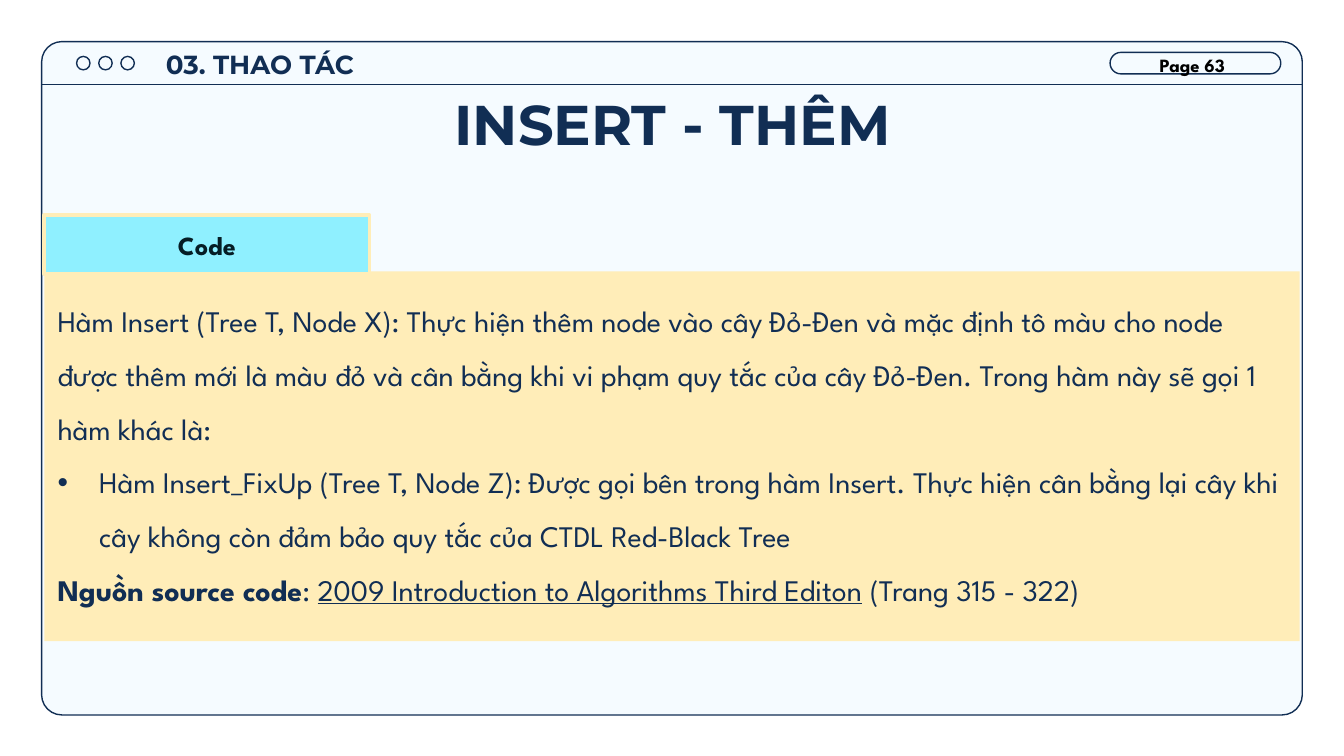
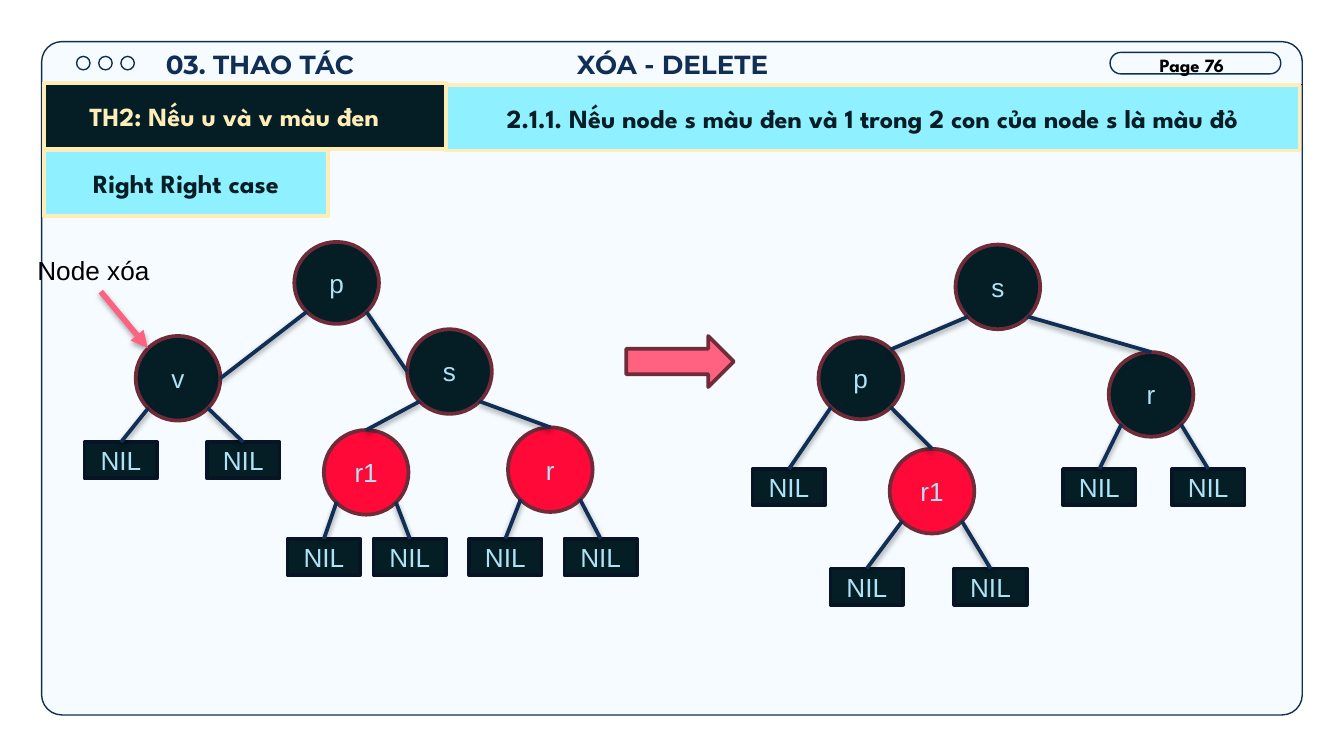
from collections import namedtuple

from lxml import etree
from pptx import Presentation
from pptx import util as u
from pptx.dml.color import RGBColor
from pptx.enum import shapes, text
from pptx.oxml import ns

COLORS = {
    "navy": "112E54", "panel": "F5FBFF", "cream": "FFEDB8", "cyan": "8FF0FF",
    "ink": "051D25", "red": "FF0939", "maroon": "702B38", "pink": "FF6180",
    "ice": "AEE2F4", "nil_edge": "071425", "black": "000000",
}
HEADING = {"name": "Montserrat", "size": u.Pt(14), "bold": True}
TITLE = {**HEADING, "size": u.Pt(30)}
LABEL = {"name": "League Spartan", "size": u.Pt(14), "bold": True}
PAGE = {**LABEL, "size": u.Pt(10)}
BODY = {"name": "League Spartan", "size": u.Pt(16)}
NODE = {"name": "Arial", "size": u.Pt(14)}

SHAPE = shapes.MSO_SHAPE
CENTER, LEFT = text.PP_ALIGN.CENTER, text.PP_ALIGN.LEFT
Box = namedtuple("Box", "x y w h")
SLIDE_WIDTH = 10
SLIDE_HEIGHT = SLIDE_WIDTH * 9 / 16
FRAME = Box(0.31, 0.31, 9.38, 5.01)
NODE_SIZE = 0.63
NIL_SIZE = (0.54, 0.27)
# Points on a node's rim, as fractions of its width and height
RIM = {"top": (0.5, 0), "left": (0, 0.5), "right": (1, 0.5),
       "lower left": (0.15, 0.85), "lower right": (0.85, 0.85),
       "upper right": (0.85, 0.15)}


def rgb(color):
    return RGBColor.from_string(COLORS[color])


def inside(box, x, y, w, h):
    return Box(box.x + x, box.y + y, w, h)


def inches(values):
    return [u.Inches(value) for value in values]


def style_font(font, style, color):
    for name, value in style.items():
        setattr(font, name, value)
    font.color.rgb = rgb(color)


def set_frame(frame, inset_y=0.05, inset_right=0.1, anchor=text.MSO_ANCHOR.TOP):
    settings = {
        "word_wrap": True, "vertical_anchor": anchor,
        "margin_left": u.Inches(0.1), "margin_right": u.Inches(inset_right),
        "margin_top": u.Inches(inset_y), "margin_bottom": u.Inches(inset_y),
    }
    for name, value in settings.items():
        setattr(frame, name, value)


def write_line(frame, words, style, color, align=CENTER):
    paragraph = frame.paragraphs[0]
    paragraph.alignment = align
    run = paragraph.add_run()
    run.text = words
    style_font(run.font, style, color)


def draw_shape(slide, kind, box, fill=None, edge=None, width=2.0):
    shape = slide.shapes.add_shape(kind, *inches(box))
    shape.shadow.inherit = False
    if fill:
        shape.fill.solid()
        shape.fill.fore_color.rgb = rgb(fill)
    else:
        shape.fill.background()
    if edge:
        shape.line.color.rgb = rgb(edge)
        shape.line.width = u.Pt(width)
    else:
        shape.line.fill.background()
    return shape


def draw_label(slide, kind, box, words, style, ink, fill, edge, inset_right=0.1):
    shape = draw_shape(slide, kind, box, fill, edge)
    set_frame(shape.text_frame, inset_right=inset_right, anchor=text.MSO_ANCHOR.MIDDLE)
    write_line(shape.text_frame, words, style, ink)
    return shape


def draw_text(slide, box, words, style, color, align=CENTER, inset_y=0.1):
    frame = slide.shapes.add_textbox(*inches(box)).text_frame
    set_frame(frame, inset_y)
    write_line(frame, words, style, color, align)
    return frame


def draw_line(slide, start, end, color="navy", width=2.0, opacity=None,
              arrow=False, target=None):
    line = slide.shapes.add_connector(
        shapes.MSO_CONNECTOR.STRAIGHT, *inches((*start, *end)))
    if target is not None:
        line.end_connect(target, 0)
    line.line.color.rgb = rgb(color)
    line.line.width = u.Pt(width)
    properties = line._element.spPr
    if arrow:
        etree.SubElement(line.line._ln, ns.qn("a:tailEnd"), type="triangle")
    effects = etree.SubElement(properties, ns.qn("a:effectLst"))
    if opacity:
        shadow = etree.SubElement(
            effects, ns.qn("a:outerShdw"), blurRad=str(u.Pt(3.1)),
            dist=str(u.Pt(1.6)), dir="5400000", rotWithShape="0")
        tint = etree.SubElement(shadow, ns.qn("a:srgbClr"), val=COLORS["black"])
        etree.SubElement(tint, ns.qn("a:alpha"), val=str(opacity * 1000))


# Window frame, header bar and page number
def draw_window(slide, box, page):
    window = draw_shape(slide, SHAPE.ROUNDED_RECTANGLE, box, "panel", "navy", 0.75)
    window.adjustments[0] = 0.03
    for index in range(3):
        dot = inside(box, 0.26 + index * 0.165, 0.11, 0.1, 0.1)
        draw_shape(slide, SHAPE.OVAL, dot, edge="navy", width=0.75)
    pill = draw_shape(slide, SHAPE.ROUNDED_RECTANGLE,
                      inside(box, 7.95, 0.08, 1.27, 0.16), edge="navy", width=0.75)
    pill.adjustments[0] = 0.5
    rule_y = box.y + 0.32
    draw_line(slide, (box.x, rule_y), (box.x + box.w, rule_y), width=0.75)
    draw_text(slide, inside(box, 0.76, -0.05, 1.73, 0.46), "03. THAO TÁC",
              HEADING, "navy")
    number = draw_text(slide, inside(box, 8.22, 0.04, 0.75, 0.27), f"Page {page}",
                       PAGE, "black", LEFT, 0.05)
    number.auto_size = text.MSO_AUTO_SIZE.SHAPE_TO_FIT_TEXT


# Cream panel with the description and its tab
def draw_description(slide, box, tab, paragraphs):
    panel = draw_shape(slide, SHAPE.RECTANGLE, inside(box, 0, 0.42, box.w, box.h - 0.42),
                       "cream")
    frame = panel.text_frame
    set_frame(frame, 0.1)
    for index, (bulleted, runs) in enumerate(paragraphs):
        paragraph = frame.add_paragraph() if index else frame.paragraphs[0]
        paragraph.alignment = LEFT
        paragraph.line_spacing = 1.5
        if bulleted:
            properties = paragraph._p.get_or_add_pPr()
            properties.set("marL", str(u.Inches(0.31)))
            properties.set("indent", str(-u.Inches(0.31)))
            tint = etree.SubElement(properties, ns.qn("a:buClr"))
            etree.SubElement(tint, ns.qn("a:srgbClr"), val=COLORS["navy"])
            etree.SubElement(properties, ns.qn("a:buFont"), typeface="Arial")
            etree.SubElement(properties, ns.qn("a:buChar"), char="•")
        for words, emphasis in runs:
            run = paragraph.add_run()
            run.text = words
            style_font(run.font, {**BODY, **emphasis}, "navy")
    draw_label(slide, SHAPE.RECTANGLE, inside(box, 0, 0, 2.42, 0.44), tab, LABEL,
               "ink", "cyan", "cream")


# Three labels naming the deletion case
def draw_case_labels(slide, box):
    labels = [
        (0, 0, 2.99, "TH2: Nếu u và v màu đen", "cream", "ink", 0.26),
        (2.99, 0.01, 6.35,
         "2.1.1. Nếu node s màu đen và 1 trong 2 con của node s là màu đỏ",
         "ink", "cyan", 0.1),
        (0, 0.5, 2.11, "Right Right case", "ink", "cyan", 0.1),
    ]
    for x, y, width, words, ink, fill, inset in labels:
        draw_label(slide, SHAPE.RECTANGLE, inside(box, x, y, width, 0.49), words,
                   LABEL, ink, fill, "cream", inset)


def rim_point(node, place):
    across, down = RIM[place]
    return node.x + across * node.w, node.y + down * node.h


# Tree: nodes are (name, x, y, height, fill), branches are (parent, child, from, to),
# leaves are (parent, left x, right x, y); a missing side is None
def draw_tree(slide, box, nodes, branches, leaves):
    places, circles = {}, {}
    for name, x, y, height, fill in nodes:
        places[name] = inside(box, x, y, NODE_SIZE, height)
        circles[name] = draw_label(slide, SHAPE.FLOWCHART_CONNECTOR, places[name],
                                   name, NODE, "ice", fill, "maroon")
    for parent, child, leave, enter in branches:
        draw_line(slide, rim_point(places[parent], leave),
                  rim_point(places[child], enter), opacity=38,
                  target=circles[child] if enter == "top" else None)
    for parent, *xs, y in leaves:
        for x, side in zip(xs, ("lower left", "lower right")):
            if x is None:
                continue
            place = inside(box, x, y, *NIL_SIZE)
            nil = draw_label(slide, SHAPE.RECTANGLE, place, "NIL", NODE, "ice",
                             "ink", "nil_edge")
            draw_line(slide, rim_point(places[parent], side),
                      rim_point(place, "top"), opacity=38, target=nil)


# Caption and arrow pointing at the node to delete
def draw_delete_mark(slide, box):
    caption = draw_text(slide, box, "Node xóa", NODE, "black", LEFT, 0.05)
    caption.auto_size = text.MSO_AUTO_SIZE.SHAPE_TO_FIT_TEXT
    draw_line(slide, (box.x + 0.57, box.y + 0.33), (box.x + 0.92, box.y + 0.75),
              "pink", 3, opacity=35, arrow=True)


def build_insert_slide(slide):
    draw_window(slide, FRAME, 63)
    draw_text(slide, inside(FRAME, 0.48, 0.26, 8.43, 0.63), "INSERT - THÊM",
              TITLE, "navy")
    draw_description(slide, inside(FRAME, 0.02, 1.29, 9.34, 3.17), "Code", [
        (False, [("Hàm Insert (Tree T, Node X): Thực hiện thêm node vào cây Đỏ-Đen "
                  "và mặc định tô màu cho node được thêm mới là màu đỏ và cân bằng "
                  "khi vi phạm quy tắc của cây Đỏ-Đen. Trong hàm này sẽ gọi 1 hàm "
                  "khác là:", {})]),
        (True, [("Hàm Insert_FixUp (Tree T, Node Z): Được gọi bên trong hàm Insert. "
                 "Thực hiện cân bằng lại cây khi cây không còn đảm bảo quy tắc của "
                 "CTDL Red-Black Tree", {})]),
        (False, [("Nguồn source code", {"bold": True}), (": ", {}),
                 ("2009 Introduction to Algorithms Third Editon", {"underline": True}),
                 (" (Trang 315 - 322)", {})]),
    ])


def build_delete_slide(slide):
    draw_window(slide, FRAME, 76)
    draw_text(slide, inside(FRAME, 0.48, -0.05, 8.43, 0.39), "XÓA - DELETE",
              HEADING, "navy")
    draw_case_labels(slide, inside(FRAME, 0.02, 0.31, 9.34, 0.99))
    # Before the rotation
    draw_tree(
        slide, Box(0.63, 1.8, 4.11, 2.48),
        nodes=[("p", 1.56, 0, 0.61, "ink"), ("v", 0.38, 0.7, 0.63, "ink"),
               ("s", 2.4, 0.65, 0.63, "ink"), ("r1", 1.78, 1.4, 0.63, "red"),
               ("r", 3.15, 1.38, 0.63, "red")],
        branches=[("p", "v", "lower left", "right"), ("p", "s", "lower right", "left"),
                  ("s", "r1", "lower left", "top"), ("s", "r", "lower right", "top")],
        leaves=[("v", 0, 0.91, 1.49), ("r1", 1.51, 2.15, 2.21),
                ("r", 2.86, 3.57, 2.21)])
    draw_delete_mark(slide, Box(0.18, 1.84, 1.14, 0.34))
    draw_shape(slide, SHAPE.RIGHT_ARROW, Box(4.66, 2.5, 0.8, 0.38), "pink", "maroon")
    # After the rotation
    draw_tree(
        slide, Box(5.6, 1.82, 3.66, 2.68),
        nodes=[("s", 1.51, 0, 0.63, "ink"), ("p", 0.49, 0.69, 0.61, "ink"),
               ("r", 2.65, 0.8, 0.63, "ink"), ("r1", 1.02, 1.52, 0.63, "red")],
        branches=[("s", "p", "lower left", "upper right"),
                  ("s", "r", "lower right", "top"), ("p", "r1", "lower right", "top")],
        leaves=[("p", 0, None, 1.67), ("r1", 0.58, 1.5, 2.41),
                ("r", 2.31, 3.12, 1.67)])


def main():
    deck = Presentation()
    deck.slide_width, deck.slide_height = inches((SLIDE_WIDTH, SLIDE_HEIGHT))
    for build in (build_insert_slide, build_delete_slide):
        build(deck.slides.add_slide(deck.slide_layouts[6]))
    deck.save("out.pptx")


if __name__ == "__main__":
    main()
